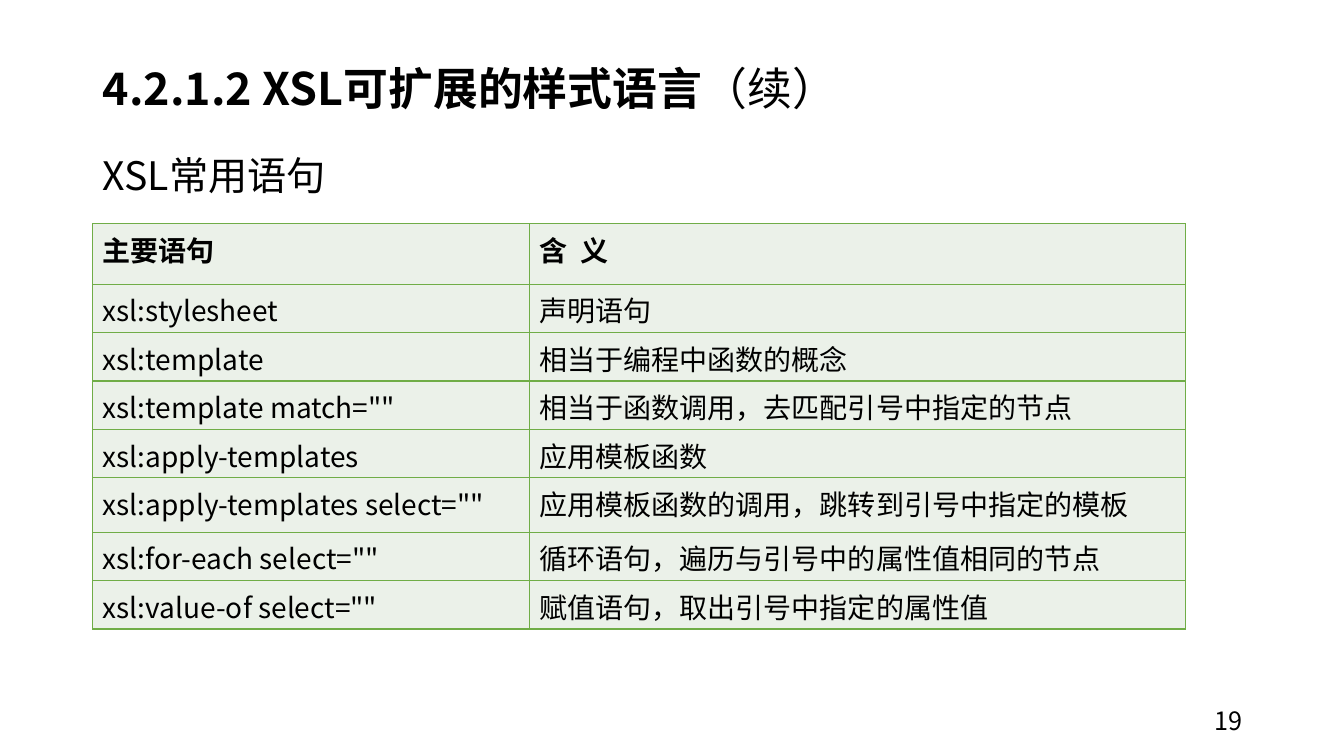
from lxml import etree
from pptx import Presentation
from pptx.dml.color import RGBColor
from pptx.enum.text import MSO_ANCHOR, PP_ALIGN
from pptx.oxml.ns import qn
from pptx.util import Inches, Pt

TOP, MIDDLE = MSO_ANCHOR.TOP, MSO_ANCHOR.MIDDLE
LEFT, RIGHT = PP_ALIGN.LEFT, PP_ALIGN.RIGHT
FONT = "Noto Sans CJK SC"
COLORS = {"text": "000000", "fill": "EBF1E9", "border": "70AD47"}
WIDTHS = [4.33, 6.51]
HEIGHTS = [0.6, 0.48, 0.48, 0.48, 0.48, 0.54, 0.48, 0.48]
HANG = 0.38
ROWS = [
    ("主要语句", "含  义"),
    ("xsl:stylesheet", "声明语句"),
    ("xsl:template", "相当于编程中函数的概念"),
    ('xsl:template match=""', "相当于函数调用，去匹配引号中指定的节点"),
    ("xsl:apply-templates", "应用模板函数"),
    ('xsl:apply-templates select=""', "应用模板函数的调用，跳转到引号中指定的模板"),
    ('xsl:for-each select=""', "循环语句，遍历与引号中的属性值相同的节点"),
    ('xsl:value-of select=""', "赋值语句，取出引号中指定的属性值"),
]


def style_font(font, size, bold=False):
    font.size, font.bold, font.name = Pt(size), bold, FONT
    font.color.rgb = RGBColor.from_string(COLORS["text"])


def set_asian(para):
    """Use the same font for the Chinese characters."""
    for latin in list(para._p.iter(qn("a:latin"))):
        asian = etree.Element(qn("a:ea"), typeface=FONT)
        latin.addnext(asian)


def add_text(slide, box, runs, size, anchor=TOP, align=LEFT, spacing=1.0):
    """Add a text box; runs are pairs of text and bold."""
    frame = slide.shapes.add_textbox(*map(Inches, box)).text_frame
    frame.word_wrap = True
    frame.vertical_anchor = anchor
    para = frame.paragraphs[0]
    para.alignment, para.line_spacing = align, spacing
    if len(runs) == 1:
        para.text = runs[0][0]
        style_font(para.font, size, runs[0][1])
    else:
        for text, bold in runs:
            run = para.add_run()
            run.text = text
            style_font(run.font, size, bold)
    set_asian(para)
    return para


def add_borders(cell):
    props = cell._tc.get_or_add_tcPr()
    for spot, side in enumerate(("lnL", "lnR", "lnT", "lnB")):
        line = etree.Element(qn(f"a:{side}"), w=str(Pt(1)))
        fill = etree.SubElement(line, qn("a:solidFill"))
        etree.SubElement(fill, qn("a:srgbClr"), val=COLORS["border"])
        props.insert(spot, line)


def fill_cell(cell, text, bold):
    cell.fill.solid()
    cell.fill.fore_color.rgb = RGBColor.from_string(COLORS["fill"])
    add_borders(cell)
    para = cell.text_frame.paragraphs[0]
    para.text = text
    style_font(para.font, 20, bold)
    set_asian(para)
    props = para._p.get_or_add_pPr()
    props.set("marL", str(Inches(HANG)))
    props.set("indent", str(-Inches(HANG)))


def add_grid(slide, left, top):
    box = map(Inches, (left, top, sum(WIDTHS), sum(HEIGHTS)))
    table = slide.shapes.add_table(len(ROWS), len(WIDTHS), *box).table
    table.horz_banding = False
    for col, width in zip(table.columns, WIDTHS):
        col.width = Inches(width)
    for r, (row, height) in enumerate(zip(ROWS, HEIGHTS)):
        table.rows[r].height = Inches(height)
        for c, text in enumerate(row):
            fill_cell(table.cell(r, c), text, r == 0)


def main():
    deck = Presentation()
    deck.slide_width, deck.slide_height = Inches(13.33), Inches(7.5)
    slide = deck.slides.add_slide(deck.slide_layouts[6])

    # Title and subtitle
    title = [("4.2.1.2 XSL可扩展的样式语言", True), ("（续）", False)]
    add_text(slide, (0.92, 0.4, 11.5, 1.01), title, 32, MIDDLE, spacing=0.9)
    topic = add_text(slide, (0.92, 1.41, 11.5, 0.64), [("XSL常用语句", False)],
                     28, spacing=1.1)
    topic.space_before = Pt(10)

    # Table of statements
    add_grid(slide, 0.92, 2.22)

    # Page number
    add_text(slide, (9.42, 6.95, 3, 0.4), [("19", False)], 18, MIDDLE, RIGHT)
    deck.save("out.pptx")


if __name__ == "__main__":
    main()
